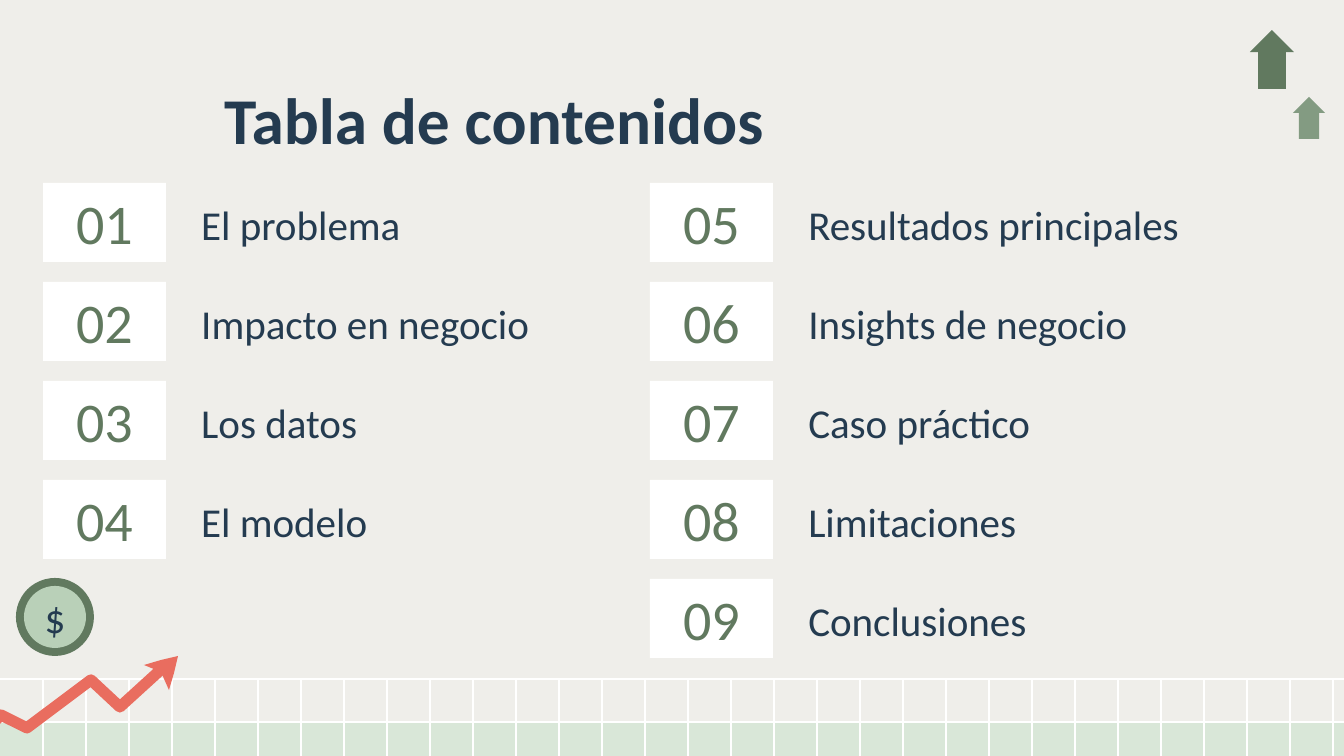
import pptx
import pptx.util
import pptx.dml.color
import pptx.enum.shapes
import pptx.enum.text
import lxml.etree

SCALE = 914400 / 134.4
FONT = "Calibri"
COLORS = {
    "paper": "EFEEEA", "white": "FFFFFF", "mint": "D9E7D8", "navy": "243B50",
    "forest": "61795F", "sage": "839B82", "leaf": "B9D0B8", "coral": "E96D5F",
}
SHAPES = pptx.enum.shapes.MSO_SHAPE
ANCHOR = pptx.enum.text.MSO_ANCHOR
ALIGN = pptx.enum.text.PP_ALIGN
TOPICS = [
    ["El problema", "Impacto en negocio", "Los datos", "El modelo"],
    ["Resultados principales", "Insights de negocio", "Caso práctico",
     "Limitaciones", "Conclusiones"],
]


def px(*lengths):
    return [pptx.util.Emu(round(length * SCALE)) for length in lengths]


def rgb(name):
    return pptx.dml.color.RGBColor.from_string(COLORS[name])


def paint(shape, color):
    shape.shadow.inherit = False
    shape.fill.solid()
    shape.fill.fore_color.rgb = rgb(color)
    shape.line.fill.background()


def add_block(page, kind, box, color):
    shape = page.shapes.add_shape(kind, *px(*box))
    paint(shape, color)
    return shape


def write(shape, text, size=22, color="navy", bold=False, align=ALIGN.LEFT,
          anchor=ANCHOR.BOTTOM, inset=0.1):
    frame = shape.text_frame
    frame.word_wrap = True
    frame.vertical_anchor = anchor
    frame.margin_left = frame.margin_right = pptx.util.Inches(inset)
    frame.margin_top = frame.margin_bottom = pptx.util.Inches(inset)
    para = frame.paragraphs[0]
    para.alignment = align
    span = para.add_run()
    span.text = text
    span.font.name = FONT
    span.font.size = pptx.util.Pt(size)
    span.font.bold = bold
    span.font.color.rgb = rgb(color)


def add_text(page, box, text, **style):
    write(page.shapes.add_textbox(*px(*box)), text, **style)


def add_rule(page, *ends):
    rule = page.shapes.add_connector(
        pptx.enum.shapes.MSO_CONNECTOR.STRAIGHT, *px(*ends))
    rule.line.color.rgb = rgb("white")
    rule.line.width = pptx.util.Pt(0.75)
    lxml.etree.SubElement(rule._element.spPr, pptx.oxml.ns.qn("a:effectLst"))


def add_outline(page, left, top, points, close):
    spots = [(left + x, top + y) for x, y in points]
    builder = page.shapes.build_freeform(*spots[0], scale=SCALE)
    builder.add_line_segments(spots[1:], close=close)
    return builder.convert_to_shape()


def add_floor(page, left, top, width, height):
    cell = 43
    add_block(page, SHAPES.RECTANGLE, (left, top + cell, width, height - cell), "mint")
    for y in (top, top + cell):
        add_rule(page, left, y, left + width, y)
    for x in range(left + cell, left + width, cell):
        add_rule(page, x, top, x, top + height)


def add_trend(page, left, top):
    trend = add_outline(page, left, top, [
        (0, 113), (63, 49), (89, 62), (153, 14), (182, 41), (227, 0)], False)
    trend.shadow.inherit = False
    trend.fill.background()
    trend.line.color.rgb = rgb("coral")
    trend.line.width = pptx.util.Pt(6)
    head = add_outline(page, left, top, [
        (240, -10), (223, -6), (206, -1), (223, 6), (231, 24), (236, 7)], True)
    paint(head, "coral")


def add_coin(page, left, top, size):
    rim = 8
    inner = size - 2 * rim
    add_block(page, SHAPES.OVAL, (left, top, size, size), "forest")
    face = (left + rim, top + rim, inner, inner)
    add_block(page, SHAPES.OVAL, face, "leaf")
    add_text(page, face, "$", align=ALIGN.CENTER, anchor=ANCHOR.MIDDLE, inset=0)


def add_up_arrow(page, box, color):
    arrow = add_block(page, SHAPES.UP_ARROW, box, color)
    arrow.adjustments[0] = 0.63
    arrow.adjustments[1] = 0.5


def add_topic(page, left, top, number, topic):
    height = 79
    tile = add_block(page, SHAPES.RECTANGLE, (left, top, 123, height), "white")
    write(tile, f"{number:02d}", size=30, color="forest",
          align=ALIGN.CENTER, anchor=ANCHOR.MIDDLE)
    add_text(page, (left + 145, top, 508, height), topic)


def add_contents(page, left, top, column_step, row_step):
    number = 1
    for column, topics in enumerate(TOPICS):
        for row, topic in enumerate(topics):
            add_topic(page, left + column * column_step, top + row * row_step,
                      number, topic)
            number += 1


def main():
    deck = pptx.Presentation()
    deck.slide_width, deck.slide_height = px(1344, 756)
    page = deck.slides.add_slide(deck.slide_layouts[6])
    page.background.fill.solid()
    page.background.fill.fore_color.rgb = rgb("paper")
    add_floor(page, 0, 679, 1344, 77)
    add_trend(page, -62, 666)
    add_coin(page, 16, 578, 78)
    add_up_arrow(page, (1250, 30, 44, 59), "forest")
    add_up_arrow(page, (1293, 97, 32, 42), "sage")
    add_text(page, (211, 66, 1028, 85), "Tabla de contenidos",
             size=35, bold=True, anchor=ANCHOR.TOP)
    add_contents(page, 43, 183, 607, 99)
    deck.save("out.pptx")


if __name__ == "__main__":
    main()
